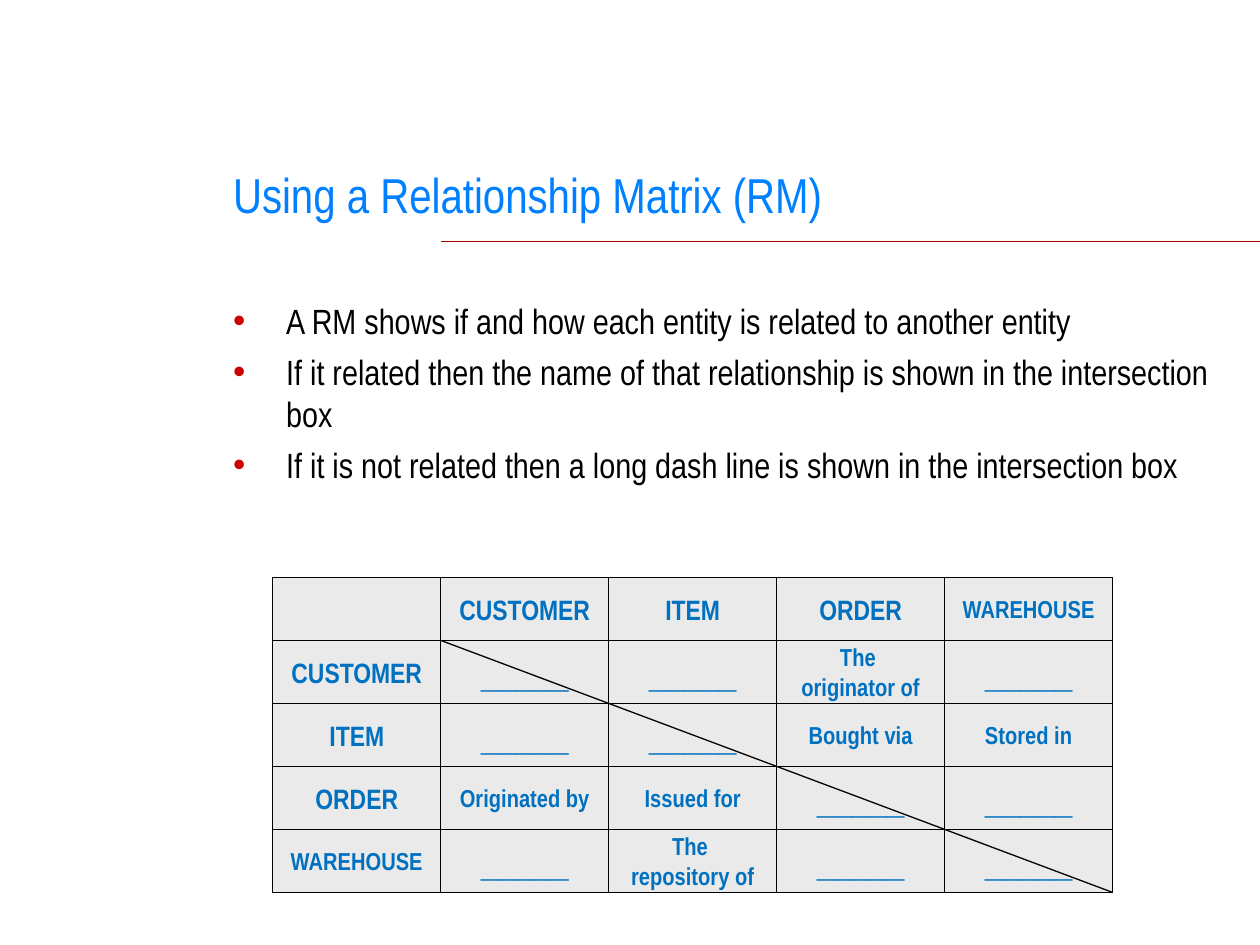
from lxml.etree import SubElement
from pptx import Presentation
from pptx.dml.color import RGBColor
from pptx.enum.shapes import MSO_CONNECTOR as Connector, MSO_SHAPE as Shape
from pptx.enum.text import MSO_ANCHOR as Anchor, PP_ALIGN as Align
from pptx.oxml.ns import qn
from pptx.util import Cm, Pt

TITLE = "Using a Relationship Matrix (RM)"
BULLETS = [
    "A RM shows if and how each entity is related to another entity",
    "If it related then the name of that relationship is shown in the intersection box",
    "If it is not related then a long dash line is shown in the intersection box",
]
ENTITIES = ["CUSTOMER", "ITEM", "ORDER", "WAREHOUSE"]
DASH = "_____"
RELATIONSHIPS = {
    ("CUSTOMER", "ORDER"): "The \noriginator of",
    ("ITEM", "ORDER"): "Bought via",
    ("ITEM", "WAREHOUSE"): "Stored in",
    ("ORDER", "CUSTOMER"): "Originated by",
    ("ORDER", "ITEM"): "Issued for",
    ("WAREHOUSE", "ITEM"): "The \nrepository of",
}

FONT = "Arial Narrow"
TITLE_BLUE = RGBColor(0x00, 0x80, 0xFF)
CELL_BLUE = RGBColor(0x00, 0x70, 0xC0)
CELL_GREY = RGBColor(0xEA, 0xEA, 0xEA)
BLACK = RGBColor(0x00, 0x00, 0x00)
BULLET_RED = RGBColor(0xCC, 0x00, 0x00)
RULE_RED = RGBColor(0xA8, 0x00, 0x00)

SLIDE_WIDTH, SLIDE_HEIGHT = Cm(25.4), Cm(19.05)
TEXT_LEFT = Cm(4.45)
MATRIX_LEFT, MATRIX_TOP = Cm(5.5), Cm(11.64)
MATRIX_SIZE = len(ENTITIES) + 1
COLUMN_WIDTH, ROW_HEIGHT = Cm(16.93) // MATRIX_SIZE, Cm(1.27)
INDENT = Cm(1.07)
LINE_WIDTH = Pt(0.74)


def add_run(paragraph, text, size, color, bold=False):
    """Append one formatted run to a paragraph."""
    run = paragraph.add_run()
    run.text = text
    run.font.name = FONT
    run.font.size = Pt(size)
    run.font.bold = bold
    run.font.color.rgb = color


def style_line(line, color):
    """Give an outline or a connector its colour and width."""
    line.color.rgb = color
    line.width = LINE_WIDTH


def add_line(slide, start, end, color):
    """Draw a thin straight line without a shadow."""
    connector = slide.shapes.add_connector(Connector.STRAIGHT, *start, *end)
    style_line(connector.line, color)
    SubElement(connector._element.spPr, qn("a:effectLst"))


def add_text_frame(slide, left, top, width, height):
    """Add a wrapping text box and return its text frame."""
    frame = slide.shapes.add_textbox(left, top, width, height).text_frame
    frame.word_wrap = True
    return frame


def add_title(slide):
    """Place the heading and the rule under it."""
    rule_top = Cm(4.87)
    add_line(slide, (Cm(8.89), rule_top), (SLIDE_WIDTH, rule_top), RULE_RED)
    frame = add_text_frame(slide, TEXT_LEFT, Cm(2.96), Cm(19.48), Cm(1.91))
    frame.vertical_anchor = Anchor.MIDDLE
    add_run(frame.paragraphs[0], TITLE, 28, TITLE_BLUE)


def add_bullets(slide):
    """Place the bulleted explanation."""
    frame = add_text_frame(slide, TEXT_LEFT, Cm(5.92), Cm(20.95), Cm(9.1))
    for index, text in enumerate(BULLETS):
        paragraph = frame.add_paragraph() if index else frame.paragraphs[0]
        paragraph.space_before = Pt(5)
        properties = paragraph._p.get_or_add_pPr()
        properties.set("marL", str(INDENT))
        properties.set("indent", str(-INDENT))
        bullet_color = SubElement(properties, qn("a:buClr"))
        SubElement(bullet_color, qn("a:srgbClr"), val=str(BULLET_RED))
        SubElement(properties, qn("a:buFont"), typeface="Arial")
        SubElement(properties, qn("a:buChar"), char="•")
        add_run(paragraph, text, 20, BLACK)


def text_size(text):
    """Return the point size that suits a matrix entry."""
    if text == DASH:
        return 22
    return 16 if text in ENTITIES[:3] else 14


def corner(row, column):
    """Return the left and top of a matrix position."""
    return MATRIX_LEFT + column * COLUMN_WIDTH, MATRIX_TOP + row * ROW_HEIGHT


def add_box(slide, row, column, text):
    """Draw one matrix box and write its entry."""
    box = slide.shapes.add_shape(
        Shape.RECTANGLE, *corner(row, column), COLUMN_WIDTH, ROW_HEIGHT)
    box.shadow.inherit = False
    box.fill.solid()
    box.fill.fore_color.rgb = CELL_GREY
    style_line(box.line, BLACK)
    if not text:
        return
    frame = box.text_frame
    frame.word_wrap = False
    frame.vertical_anchor = Anchor.MIDDLE
    for index, line in enumerate(text.split("\n")):
        paragraph = frame.add_paragraph() if index else frame.paragraphs[0]
        paragraph.alignment = Align.CENTER
        add_run(paragraph, line, text_size(text), CELL_BLUE, bold=True)


def add_matrix(slide):
    """Build the relationship matrix and its diagonal."""
    rows = [["", *ENTITIES]]
    for entity in ENTITIES:
        names = [RELATIONSHIPS.get((entity, other), DASH) for other in ENTITIES]
        rows.append([entity, *names])
    for row, entries in enumerate(rows):
        for column, text in enumerate(entries):
            add_box(slide, row, column, text)
    add_line(slide, corner(1, 1), corner(MATRIX_SIZE, MATRIX_SIZE), BLACK)


def main():
    """Create the slide and save it."""
    presentation = Presentation()
    presentation.slide_width = SLIDE_WIDTH
    presentation.slide_height = SLIDE_HEIGHT
    slide = presentation.slides.add_slide(presentation.slide_layouts[6])
    add_title(slide)
    add_bullets(slide)
    add_matrix(slide)
    presentation.save("out.pptx")


main()
